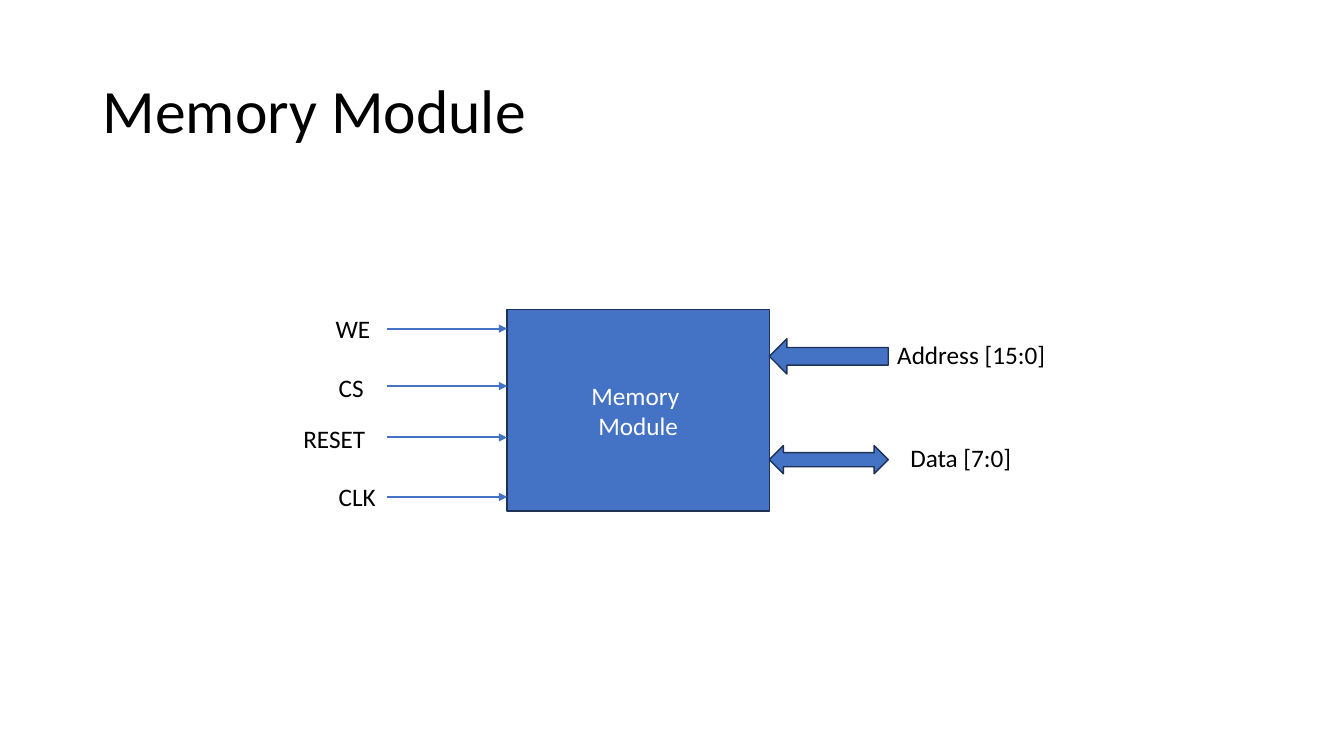
from dataclasses import dataclass

from lxml import etree
from pptx import Presentation
from pptx.dml.color import RGBColor
from pptx.enum.shapes import MSO_CONNECTOR, MSO_SHAPE
from pptx.enum.text import MSO_ANCHOR, PP_ALIGN
from pptx.oxml.ns import qn
from pptx.util import Inches, Pt

RECT = MSO_SHAPE.RECTANGLE
LEFT_ARROW = MSO_SHAPE.LEFT_ARROW
BOTH_ARROW = MSO_SHAPE.LEFT_RIGHT_ARROW
STRAIGHT = MSO_CONNECTOR.STRAIGHT
TOP, MIDDLE = MSO_ANCHOR.TOP, MSO_ANCHOR.MIDDLE
LEFT, CENTER = PP_ALIGN.LEFT, PP_ALIGN.CENTER


@dataclass(frozen=True)
class Theme:
    """Colours, font and sizes of the slide."""
    font: str = "Calibri"
    title_size: float = 44
    body_size: float = 18
    text: RGBColor = RGBColor(0, 0, 0)
    on_fill: RGBColor = RGBColor(255, 255, 255)
    fill: RGBColor = RGBColor(0x44, 0x72, 0xC4)
    outline: RGBColor = RGBColor(0x1E, 0x32, 0x56)
    outline_width: float = 1
    wire_width: float = 1.5


THEME = Theme()
MODULE_LEFT, MODULE_TOP, MODULE_WIDTH, MODULE_HEIGHT = 5.03, 3.07, 2.6, 2
MODULE_RIGHT = MODULE_LEFT + MODULE_WIDTH
WIRE_LEFT = 3.84
BUS_WIDTH = 1.18
LABEL_HEIGHT = 0.4

# name, wire y, label left, label top, label width
INPUTS = [
    ("WE", 3.26, 3.23, 3.06, 0.61),
    ("CS", 3.83, 3.26, 3.64, 0.45),
    ("RESET", 4.34, 2.91, 4.15, 0.82),
    ("CLK", 4.93, 3.26, 4.73, 0.58),
]
# name, arrow kind, arrow top, arrow height, label left, label top, label width
BUSES = [
    ("Address [15:0]", LEFT_ARROW, 3.36, 0.35, 8.8, 3.32, 1.69),
    ("Data [7:0]", BOTH_ARROW, 4.42, 0.28, 8.93, 4.34, 1.22),
]


def write(tf, lines, size, color, align=LEFT, anchor=TOP, spacing=None):
    """Fill a text frame with one paragraph per line."""
    tf.vertical_anchor = anchor
    for i, line in enumerate(lines):
        p = tf.paragraphs[0] if i == 0 else tf.add_paragraph()
        p.alignment = align
        if spacing:
            p.line_spacing = spacing
        r = p.add_run()
        r.text = line
        r.font.name = THEME.font
        r.font.size = Pt(size)
        r.font.color.rgb = color


def add_title(s, text):
    """Add the slide title."""
    tf = s.shapes.add_textbox(Inches(0.92), Inches(0.4), Inches(11.5), Inches(1.45)).text_frame
    tf.word_wrap = True
    write(tf, [text], THEME.title_size, THEME.text, anchor=MIDDLE, spacing=0.9)


def add_label(s, text, left, top, width):
    """Add a one-line signal name."""
    tf = s.shapes.add_textbox(Inches(left), Inches(top), Inches(width),
                              Inches(LABEL_HEIGHT)).text_frame
    tf.word_wrap = False
    write(tf, [text], THEME.body_size, THEME.text)


def add_block(s, kind, left, top, width, height):
    """Add a filled, outlined preset shape."""
    sp = s.shapes.add_shape(kind, Inches(left), Inches(top), Inches(width), Inches(height))
    sp.shadow.inherit = False
    sp.fill.solid()
    sp.fill.fore_color.rgb = THEME.fill
    sp.line.color.rgb = THEME.outline
    sp.line.width = Pt(THEME.outline_width)
    return sp


def add_wire(s, y):
    """Add an arrow that runs into the left side of the module."""
    wire = s.shapes.add_connector(STRAIGHT, Inches(WIRE_LEFT), Inches(y),
                                  Inches(MODULE_LEFT), Inches(y))
    wire.line.color.rgb = THEME.fill
    wire.line.width = Pt(THEME.wire_width)
    etree.SubElement(wire.line._get_or_add_ln(), qn("a:tailEnd"), type="triangle")
    etree.SubElement(wire._element.spPr, qn("a:effectLst"))


def main():
    """Build the slide and save it."""
    prs = Presentation()
    prs.slide_width, prs.slide_height = Inches(13.33), Inches(7.5)
    s = prs.slides.add_slide(prs.slide_layouts[6])

    add_title(s, "Memory Module ")
    module = add_block(s, RECT, MODULE_LEFT, MODULE_TOP, MODULE_WIDTH, MODULE_HEIGHT)
    write(module.text_frame, ["Memory ", "Module"], THEME.body_size, THEME.on_fill,
          CENTER, MIDDLE)
    for name, y, left, top, width in INPUTS:
        add_wire(s, y)
        add_label(s, name, left, top, width)
    for name, kind, arrow_top, height, left, top, width in BUSES:
        add_block(s, kind, MODULE_RIGHT, arrow_top, BUS_WIDTH, height)
        add_label(s, name, left, top, width)

    prs.save("out.pptx")


main()
